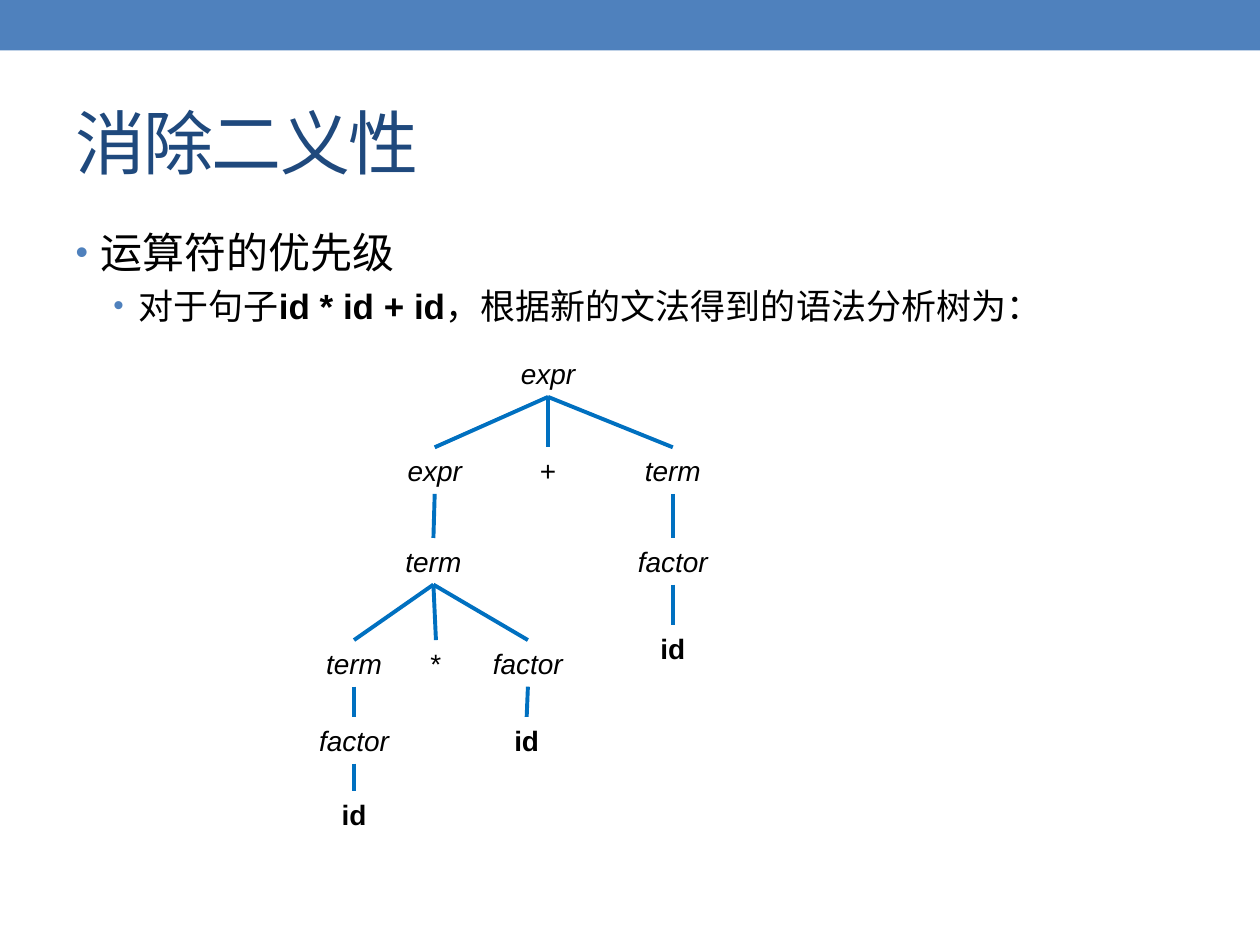
from lxml import etree
from pptx import Presentation
from pptx import util as u
from pptx.dml.color import RGBColor
from pptx.enum import shapes, text
from pptx.oxml.ns import qn

COLORS = {
    "band": "4F81BD",
    "title": "1F497D",
    "text": "000000",
    "branch": "0070C0",
}
NODE_HEIGHT = 0.37

# name: (label, style, centre, top, width, parent)
NODES = {
    "root": ("expr", "italic", 4.35, 2.78, 0.84, None),
    "sum_left": ("expr", "italic", 3.45, 3.55, 0.75, "root"),
    "plus": ("+", None, 4.35, 3.55, 0.84, "root"),
    "sum_right": ("term", "italic", 5.34, 3.55, 0.91, "root"),
    "product": ("term", "italic", 3.44, 4.27, 0.87, "sum_left"),
    "right_factor": ("factor", "italic", 5.34, 4.27, 0.91, "sum_right"),
    "right_id": ("id", "bold", 5.34, 4.96, 0.91, "right_factor"),
    "product_left": ("term", "italic", 2.81, 5.08, 0.87, "product"),
    "times": ("*", None, 3.46, 5.08, 1.03, "product"),
    "product_right": ("factor", "italic", 4.19, 5.08, 0.87, "product"),
    "left_factor": ("factor", "italic", 2.81, 5.69, 0.87, "product_left"),
    "middle_id": ("id", "bold", 4.18, 5.69, 0.91, "product_right"),
    "left_id": ("id", "bold", 2.81, 6.28, 0.91, "left_factor"),
}


class SlideBuilder:
    latin = "Arial"
    chinese = "Noto Sans CJK SC"

    def __init__(self, page):
        self.page = page

    def color(self, name):
        return RGBColor.from_string(COLORS[name])

    def place(self, shape, left, top, width, height):
        shape.left, shape.top = u.Inches(left), u.Inches(top)
        shape.width, shape.height = u.Inches(width), u.Inches(height)

    def style(self, font, name, size, color):
        font.name, font.size = name, u.Pt(size)
        font.color.rgb = self.color(color)

    def span(self, para, words, bold=None):
        span = para.add_run()
        span.text = words
        span.font.bold = bold
        properties = span._r.get_or_add_rPr()
        etree.SubElement(properties, qn("a:ea"), typeface=self.chinese)
        return properties

    def band(self, left, top, width, height):
        band = self.page.shapes.add_shape(
            shapes.MSO_SHAPE.RECTANGLE, *map(u.Inches, (left, top, width, height)))
        band.shadow.inherit = False
        band.fill.solid()
        band.fill.fore_color.rgb = self.color("band")
        band.line.fill.background()

    def title(self, words):
        title = self.page.shapes.title
        self.place(title, 0.5, 0.58, 9, 1.08)
        title.text_frame.vertical_anchor = text.MSO_ANCHOR.MIDDLE
        para = title.text_frame.paragraphs[0]
        para.alignment = text.PP_ALIGN.LEFT
        self.style(para.font, self.chinese, 40, "title")
        self.span(para, words).set("spc", "-100")

    def bullets(self, items):
        body = self.page.placeholders[1]
        self.place(body, 0.5, 1.75, 9, 5.33)
        frame = body.text_frame
        for index, (level, indent, size, spans) in enumerate(items):
            para = frame.add_paragraph() if index else frame.paragraphs[0]
            para.level = level
            self.bullet(para, indent)
            self.style(para.font, self.latin, size, "text")
            for words, bold in spans:
                self.span(para, words, bold)

    def bullet(self, para, indent):
        properties = para._p.get_or_add_pPr()
        properties.set("marL", str(u.Inches(indent)))
        properties.set("indent", str(u.Inches(-0.2)))
        tint = etree.SubElement(properties, qn("a:buClr"))
        etree.SubElement(tint, qn("a:srgbClr"), val=COLORS["band"])
        etree.SubElement(properties, qn("a:buSzPct"), val="85000")
        etree.SubElement(properties, qn("a:buFont"), typeface=self.latin)
        etree.SubElement(properties, qn("a:buChar"), char="•")

    def node(self, label, style, centre, top, width):
        box = self.page.shapes.add_textbox(
            *map(u.Inches, (centre - width / 2, top, width, NODE_HEIGHT)))
        frame = box.text_frame
        frame.word_wrap = True
        frame.auto_size = text.MSO_AUTO_SIZE.SHAPE_TO_FIT_TEXT
        para = frame.paragraphs[0]
        para.text = label
        para.alignment = text.PP_ALIGN.CENTER
        self.style(para.font, self.latin, 16, "text")
        para.font.italic = style == "italic"
        para.font.bold = style == "bold"

    def branch(self, start, end):
        branch = self.page.shapes.add_connector(
            shapes.MSO_CONNECTOR.STRAIGHT, *map(u.Inches, start + end))
        branch.line.color.rgb = self.color("branch")
        branch.line.width = u.Pt(2.25)
        etree.SubElement(branch._element.spPr, qn("a:effectLst"))

    def tree(self, nodes):
        for label, style, centre, top, width, parent in nodes.values():
            self.node(label, style, centre, top, width)
            if parent:
                parent_centre, parent_top = nodes[parent][2:4]
                self.branch((parent_centre, parent_top + NODE_HEIGHT), (centre, top))


def main():
    deck = Presentation()
    deck.slide_width, deck.slide_height = u.Inches(10), u.Inches(7.5)
    slide = SlideBuilder(deck.slides.add_slide(deck.slide_layouts[1]))
    slide.band(0, 0, 10, 0.4)
    slide.title("消除二义性")
    slide.bullets([
        (0, 0.2, 24, [("运算符的优先级", None)]),
        (1, 0.5, 20, [
            ("对于句子", None),
            ("id * id + id", True),
            ("，根据新的文法得到的语法分析树为：", None),
        ]),
    ])
    slide.tree(NODES)
    deck.save("out.pptx")


if __name__ == "__main__":
    main()
